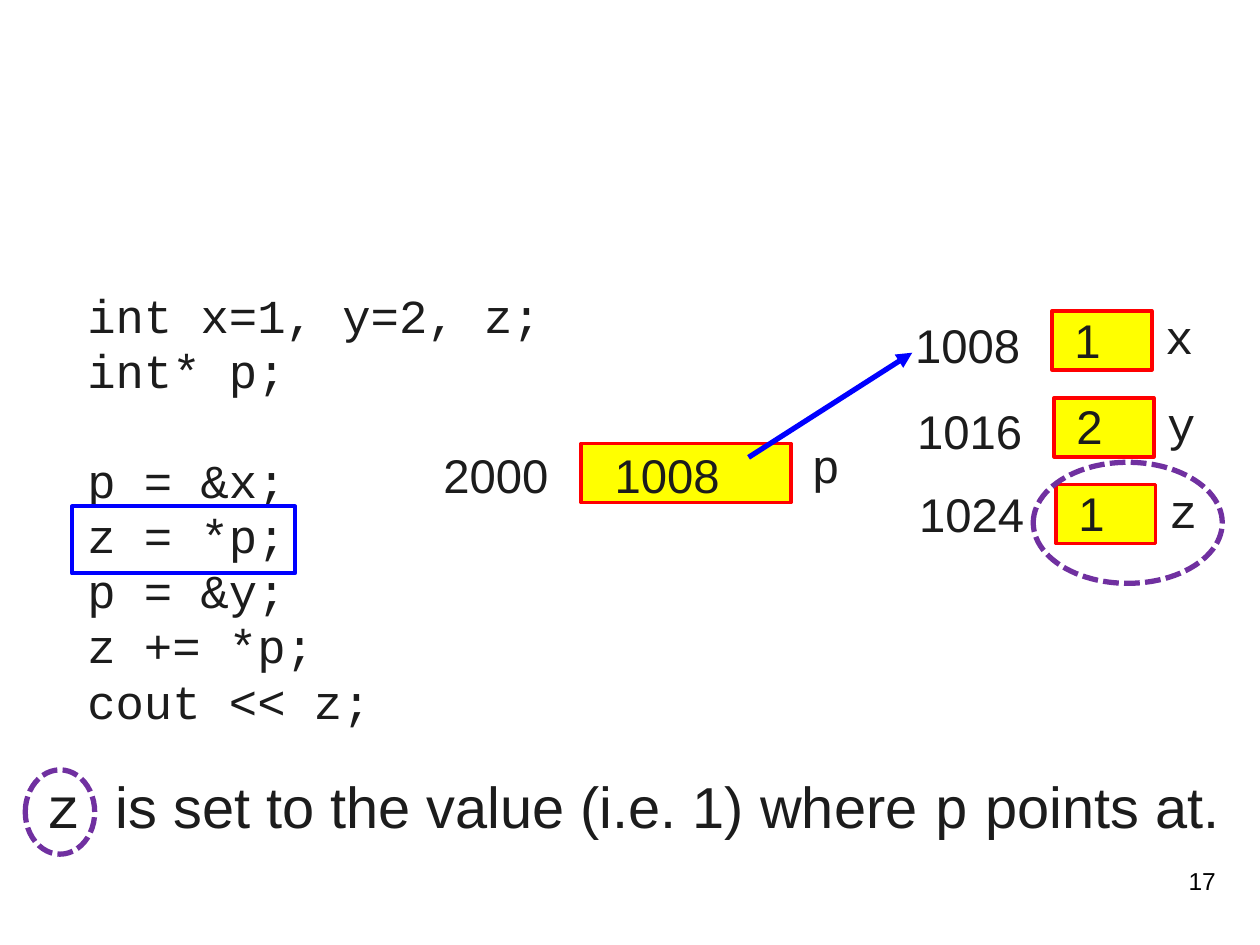
from lxml.etree import SubElement
from pptx import Presentation
from pptx.dml.color import RGBColor
from pptx.enum.dml import MSO_LINE as Dash
from pptx.enum.shapes import MSO_CONNECTOR as Link, MSO_SHAPE as Kind
from pptx.enum.text import MSO_ANCHOR as Anchor, PP_ALIGN as Align
from pptx.oxml.ns import qn
from pptx.util import Cm, Pt

MONO, SANS = "Courier New", "Arial"
INK, BLUE, RED = "1C1C1C", "0000FF", "FF0000"
YELLOW, PURPLE = "FFFF00", "7030A0"

CODE = """int x=1, y=2, z;
int* p;

p = &x;
z = *p;
p = &y;
z += *p;
cout << z;"""

# name, value, address, shift of the address
CELLS = [("x", "1", "1008", 0), ("y", "2", "1016", 0), ("z", "1", "1024", -0.09)]


def color(code):
    return RGBColor.from_string(code)


def add_text(slide, text, x, y, w, h, font=SANS, size=27, ink=INK,
             lead=31.5, align=Align.LEFT, pad=(0.05, 0.08)):
    """Text is a string, or a list of (text, font) runs for one line."""
    frame = slide.shapes.add_textbox(Cm(x), Cm(y), Cm(w), Cm(h)).text_frame
    frame.word_wrap = True
    frame.vertical_anchor = Anchor.TOP
    frame.margin_left, frame.margin_right = Cm(pad[0]), Cm(0.05)
    frame.margin_top = frame.margin_bottom = Cm(pad[1])
    if isinstance(text, str):
        lines = [[(line, font)] for line in text.split("\n")]
    else:
        lines = [text]
    gap, first = 0, True
    for line in lines:
        # An empty line becomes space before the next one
        if not line[0][0]:
            gap += lead
            continue
        para = frame.paragraphs[0] if first else frame.add_paragraph()
        first = False
        para.alignment = align
        para.line_spacing = Pt(lead)
        if gap:
            para.space_before, gap = Pt(gap), 0
        for words, face in line:
            run = para.add_run()
            run.text = words
            run.font.name, run.font.size = face, Pt(size)
            run.font.color.rgb = color(ink)


def add_box(slide, kind, x, y, w, h, line, width, fill=None, dash=None):
    box = slide.shapes.add_shape(kind, Cm(x), Cm(y), Cm(w), Cm(h))
    box.shadow.inherit = False
    if fill:
        box.fill.solid()
        box.fill.fore_color.rgb = color(fill)
    else:
        box.fill.background()
    box.line.color.rgb = color(line)
    box.line.width = Pt(width)
    if dash:
        box.line.dash_style = dash


def add_cell(slide, x, y, w):
    add_box(slide, Kind.RECTANGLE, x, y, w, 1.19, RED, 2, fill=YELLOW)


def add_ring(slide, x, y, w, h):
    add_box(slide, Kind.OVAL, x, y, w, h, PURPLE, 3, dash=Dash.SQUARE_DOT)


def add_arrow(slide, x1, y1, x2, y2):
    arrow = slide.shapes.add_connector(Link.STRAIGHT, Cm(x1), Cm(y1), Cm(x2), Cm(y2))
    arrow.line.color.rgb = color(BLUE)
    arrow.line.width = Pt(3)
    SubElement(arrow.line._get_or_add_ln(), qn("a:tailEnd"), type="triangle")
    SubElement(arrow._element.spPr, qn("a:effectLst"))


def main():
    deck = Presentation()
    deck.slide_width, deck.slide_height = Cm(25.4), Cm(19.05)
    slide = deck.slides.add_slide(deck.slide_layouts[6])

    # Code with the current line framed
    add_text(slide, CODE, 0.58, 5.72, 11.15, 10.49, font=MONO, pad=(1.18, 0.08))
    add_box(slide, Kind.RECTANGLE, 1.45, 10.21, 4.5, 1.35, BLUE, 2.25)

    # Explanation
    note = [("z ", MONO), ("is set to the value (i.e. 1) where ", SANS),
            ("p", MONO), (" points at.", SANS)]
    add_text(slide, note, 0.89, 15.42, 23.75, 1.9, size=33, lead=40.5)

    # Variables in memory
    for i, (name, value, place, shift) in enumerate(CELLS):
        x, y = 21.21 + 0.04 * i, 6.27 + 1.75 * i
        add_cell(slide, x, y, 2.01)
        add_text(slide, name, x + 2.23, y - 0.12, 1.4, 1.58, font=MONO)
        add_text(slide, value, x + 0.4, y - 0.05, 1.07, 1.58)
        add_text(slide, place, x - 2.81, y + 0.05 + shift, 2.4, 1.58)

    # Pointer
    add_cell(slide, 11.71, 8.94, 4.24)
    add_text(slide, "p", 16.31, 8.74, 1.4, 1.58, font=MONO)
    for place, x in (("1008", 12.34), ("2000", 8.89)):
        add_text(slide, place, x, 8.94, 2.44, 1.58)
    add_arrow(slide, 15.09, 9.22, 18.39, 7.11)

    # Rings around z
    add_ring(slide, 20.83, 9.32, 3.81, 2.44)
    add_ring(slide, 0.51, 15.52, 1.4, 1.7)

    # Page number
    add_text(slide, "17", 19.48, 17.35, 5.08, 1.27, size=14, ink="000000",
             lead=16, align=Align.RIGHT, pad=(0.25, 0.13))

    deck.save("out.pptx")


if __name__ == "__main__":
    main()
